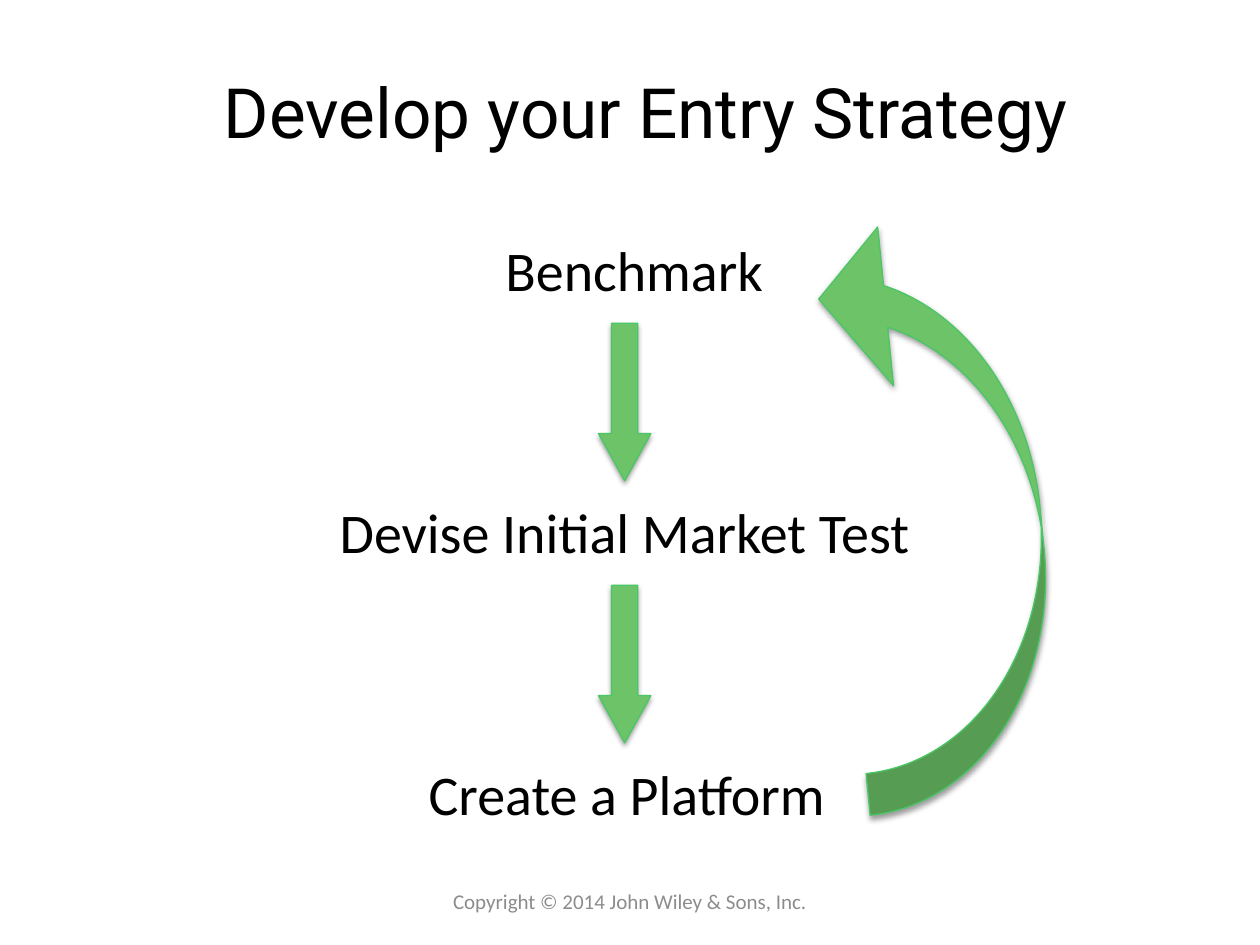
from lxml.etree import SubElement
from pptx import Presentation
from pptx.dml.color import RGBColor
from pptx.enum.shapes import MSO_SHAPE
from pptx.enum.text import MSO_ANCHOR, MSO_AUTO_SIZE, PP_ALIGN
from pptx.oxml.ns import qn
from pptx.util import Pt

COLORS = {"text": "000000", "footer": "8C8C8C", "arrow": "6CC368",
          "outline": "4BC666", "shadow": "000000"}


def write_text(shape, text, font_name, size, color, anchor):
    """Put one centred, formatted line of text in a shape."""
    frame = shape.text_frame
    frame.word_wrap = True
    frame.vertical_anchor = anchor
    frame.text = text
    paragraph = frame.paragraphs[0]
    paragraph.alignment = PP_ALIGN.CENTER
    font = paragraph.runs[0].font
    font.name = font_name
    font.size = Pt(size)
    font.color.rgb = RGBColor.from_string(COLORS[color])


def add_arrow(kind, left, top, width, height, adjustments):
    """Add a green block arrow with a soft shadow below it."""
    arrow = slide.shapes.add_shape(kind, Pt(left), Pt(top), Pt(width), Pt(height))
    for index, value in enumerate(adjustments):
        arrow.adjustments[index] = value
    arrow.fill.solid()
    arrow.fill.fore_color.rgb = RGBColor.from_string(COLORS["arrow"])
    arrow.line.color.rgb = RGBColor.from_string(COLORS["outline"])
    arrow.line.width = Pt(0.75)
    arrow.shadow.inherit = False
    effects = arrow.element.spPr.find(qn("a:effectLst"))
    shadow = SubElement(effects, qn("a:outerShdw"), blurRad=str(Pt(3.1)),
                        dist=str(Pt(1.6)), dir="5400000", rotWithShape="0")
    color = SubElement(shadow, qn("a:srgbClr"), val=COLORS["shadow"])
    SubElement(color, qn("a:alpha"), val="38000")
    return arrow


presentation = Presentation()
presentation.slide_width = Pt(720)
presentation.slide_height = Pt(540)
slide = presentation.slides.add_slide(presentation.slide_layouts[5])

title = slide.shapes.title
title.left, title.top, title.width, title.height = Pt(48), Pt(24), Pt(642), Pt(78)
write_text(title, "Develop your Entry Strategy", "Roboto", 39.6, "text", MSO_ANCHOR.MIDDLE)

# Steps run down the slide at an equal pitch, with an arrow between neighbours.
first_top, step_pitch = 131, 149.75
steps = [("Benchmark", 268.5, 188), ("Devise Initial Market Test", 186, 342),
         ("Create a Platform", 224, 268.5)]
for index, (label, left, width) in enumerate(steps):
    top = first_top + index * step_pitch
    box = slide.shapes.add_textbox(Pt(left), Pt(top), Pt(width), Pt(46))
    write_text(box, label, "Calibri", 32, "text", MSO_ANCHOR.TOP)
    box.text_frame.auto_size = MSO_AUTO_SIZE.SHAPE_TO_FIT_TEXT
    if index < len(steps) - 1:
        add_arrow(MSO_SHAPE.DOWN_ARROW, 342, top + 53.75, 30, 90, (0.5, 0.9))

return_arrow = add_arrow(MSO_SHAPE.CURVED_RIGHT_ARROW, 480, 119, 114, 342, (0.21, 0.8, 0.33))
return_arrow.rotation = 174.3

footer = slide.shapes.add_textbox(Pt(246), Pt(500.5), Pt(228), Pt(28.75))
write_text(footer, "Copyright © 2014 John Wiley & Sons, Inc.", "Calibri", 12, "footer",
           MSO_ANCHOR.MIDDLE)

presentation.save("out.pptx")
